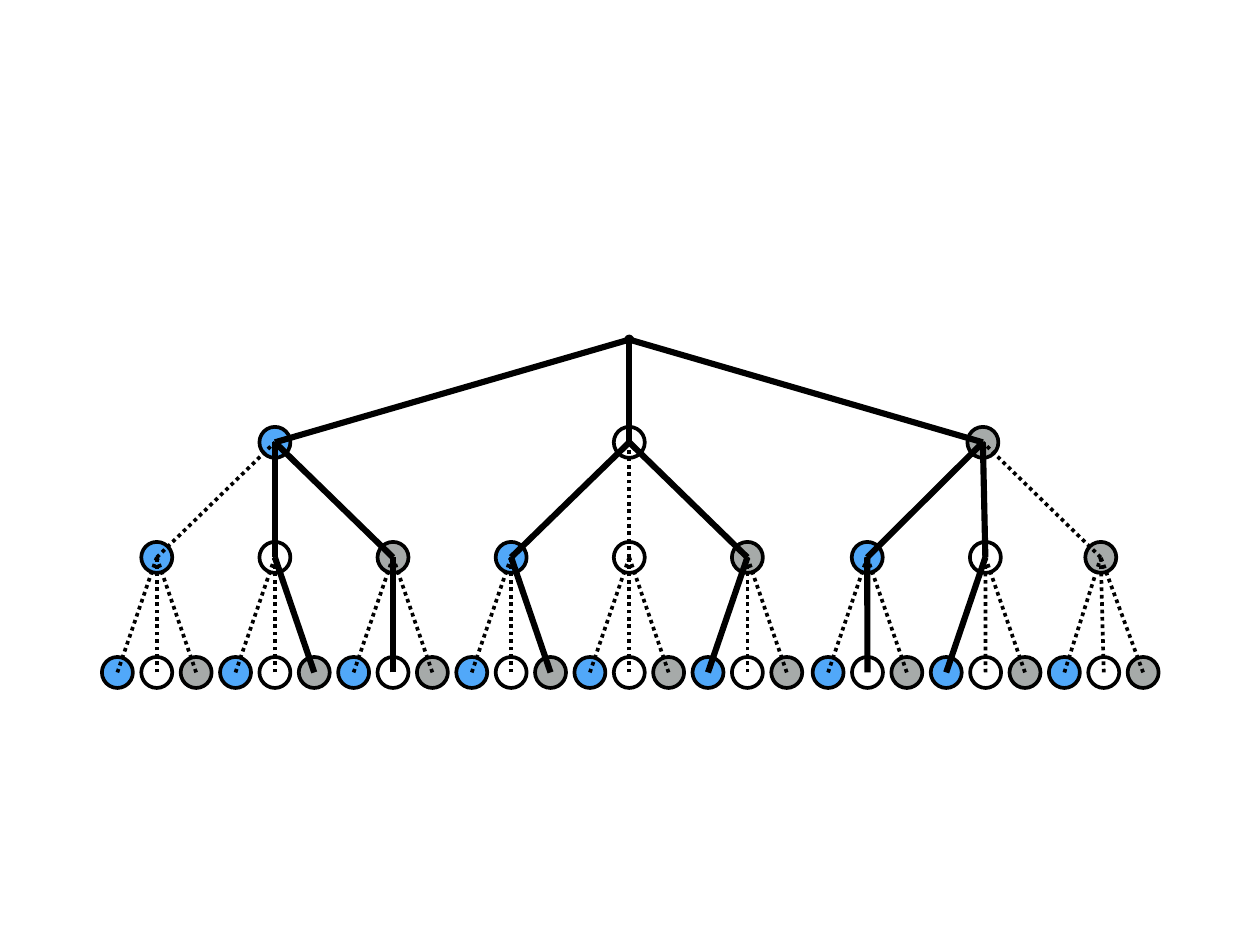
from itertools import product

from lxml.etree import SubElement
from pptx import Presentation
from pptx.dml.color import RGBColor
from pptx.enum.dml import MSO_LINE
from pptx.enum.shapes import MSO_CONNECTOR, MSO_SHAPE
from pptx.oxml.ns import qn
from pptx.util import Pt

COLORS = {"blue": "51A8F9", "white": "FFFFFF", "gray": "A6AAA9", "black": "000000"}
CHOICES = ("blue", "white", "gray")
DEPTH = 3
NODE_SIZE, ROOT_SIZE = 25.2, 5
OUTLINE, SOLID_EDGE = 3, 5
LEVEL_TOPS = (0, 83.5, 177, 270.5)
NUDGES = {(2,): -0.6, (2, 0): 1.4, (2, 1): 1.4, (2, 2): -0.8}
LEAF_NUDGE = 1.6


def node_center(box, choices):
    """Return the centre of the node reached by a sequence of choices."""
    left, top, width = box
    leaf_gap = width / (len(CHOICES) ** DEPTH - 1)
    x = left + width / 2
    for level, choice in enumerate(choices, 1):
        x += (choice - 1) * leaf_gap * len(CHOICES) ** (DEPTH - level)
    if len(choices) == DEPTH:
        x += LEAF_NUDGE if choices[0] == 2 else 0
    else:
        x += NUDGES.get(choices, 0)
    return x, top + LEVEL_TOPS[len(choices)]


def add_node(slide, center, size, color):
    """Draw a round node about its centre."""
    x, y = center
    node = slide.shapes.add_shape(
        MSO_SHAPE.OVAL, Pt(x - size / 2), Pt(y - size / 2), Pt(size), Pt(size))
    node.shadow.inherit = False
    node.fill.solid()
    node.fill.fore_color.rgb = RGBColor.from_string(COLORS[color])
    node.line.color.rgb = RGBColor.from_string(COLORS["black"])
    node.line.width = Pt(OUTLINE)


def add_edge(slide, child, parent, solid):
    """Draw a solid or dotted edge from a child to its parent."""
    edge = slide.shapes.add_connector(
        MSO_CONNECTOR.STRAIGHT, *(Pt(value) for value in child + parent))
    edge.line.color.rgb = RGBColor.from_string(COLORS["black"])
    edge.line.width = Pt(SOLID_EDGE if solid else OUTLINE)
    if not solid:
        edge.line.dash_style = MSO_LINE.ROUND_DOT
    SubElement(edge._element.spPr, qn("a:effectLst"))


def add_choice_tree(slide, box):
    """Draw the tree, with solid edges along the paths that repeat no choice."""
    branches = [choices for level in range(1, DEPTH + 1)
                for choices in product(range(len(CHOICES)), repeat=level)]
    for choices in branches:
        add_node(slide, node_center(box, choices), NODE_SIZE, CHOICES[choices[-1]])
    add_node(slide, node_center(box, ()), ROOT_SIZE, "black")
    for choices in branches:
        distinct = len(set(choices)) == len(choices)
        add_edge(slide, node_center(box, choices), node_center(box, choices[:-1]), distinct)


def main():
    """Build the slide and save it."""
    presentation = Presentation()
    presentation.slide_width, presentation.slide_height = Pt(1024), Pt(768)
    slide = presentation.slides.add_slide(presentation.slide_layouts[6])
    add_choice_tree(slide, (95.4, 276, 832))
    presentation.save("out.pptx")


if __name__ == "__main__":
    main()
